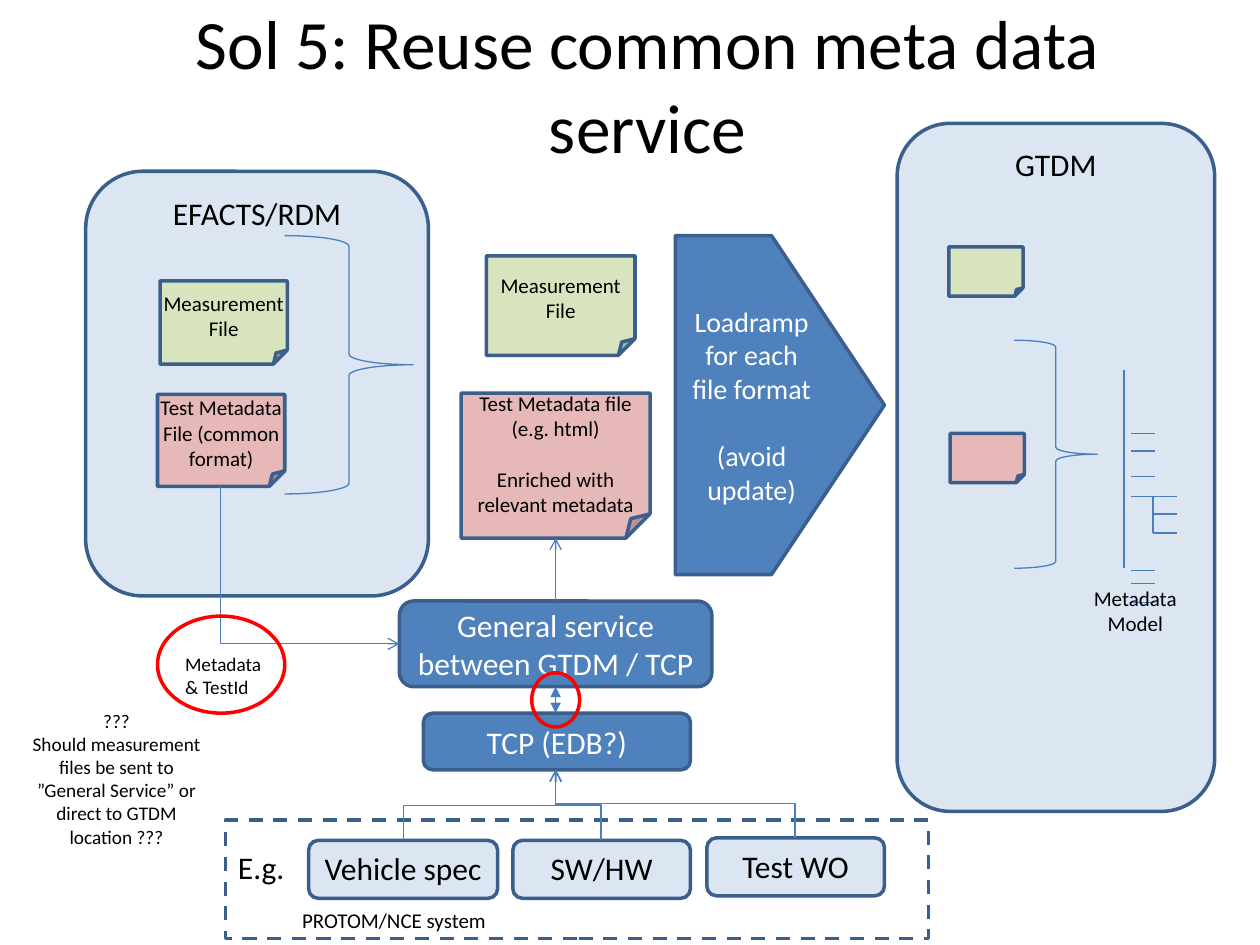
from lxml.etree import SubElement
from pptx import Presentation
from pptx.dml.color import RGBColor
from pptx.enum.dml import MSO_LINE
from pptx.enum.shapes import MSO_CONNECTOR, MSO_SHAPE
from pptx.enum.text import MSO_ANCHOR, PP_ALIGN
from pptx.oxml.ns import qn
from pptx.util import Emu, Pt

PX = 9144  # EMU per px, 100 px to the inch
FONT = "Calibri"
COLORS = {
    "blue": "4F81BD", "pale": "DCE6F2", "outline": "3A5F8C", "thin": "4B7EBC",
    "green": "D7E4BD", "pink": "E6B9B8", "red": "FF0000",
    "black": "000000", "white": "FFFFFF",
}


def px(value):
    return Emu(round(value * PX))


def color(name):
    return RGBColor.from_string(COLORS[name])


def write(frame, paragraphs, size, ink="black", align=PP_ALIGN.CENTER, gap=0):
    """Fill a text frame; gap is the space in points between paragraphs."""
    for index, text in enumerate(paragraphs):
        paragraph = frame.paragraphs[0] if index == 0 else frame.add_paragraph()
        paragraph.text = text
        paragraph.alignment = align
        if index and gap:
            paragraph.space_before = Pt(gap)
        paragraph.font.name = FONT
        paragraph.font.size = Pt(size)
        paragraph.font.color.rgb = color(ink)


def add_label(slide, box, paragraphs, size, align=PP_ALIGN.CENTER, wrap=True,
              anchor=MSO_ANCHOR.TOP):
    frame = slide.shapes.add_textbox(*map(px, box)).text_frame
    frame.word_wrap = wrap
    frame.vertical_anchor = anchor
    write(frame, paragraphs, size, align=align)


def add_outline(slide, kind, box, fill=None, line="outline", width=2):
    shape = slide.shapes.add_shape(kind, *map(px, box))
    shape.shadow.inherit = False
    if fill:
        shape.fill.solid()
        shape.fill.fore_color.rgb = color(fill)
    else:
        shape.fill.background()
    shape.line.color.rgb = color(line)
    shape.line.width = Pt(width)
    return shape


def add_system(slide, box, name, fill="pale", ink="black", anchor=MSO_ANCHOR.TOP):
    system = add_outline(slide, MSO_SHAPE.ROUNDED_RECTANGLE, box, fill)
    system.text_frame.vertical_anchor = anchor
    write(system.text_frame, [name], 18, ink)


def add_file(slide, box, fill, paragraphs=(), gap=0):
    file = add_outline(slide, MSO_SHAPE.FOLDED_CORNER, box, fill)
    frame = file.text_frame
    frame.margin_left = frame.margin_right = 0
    frame.vertical_anchor = MSO_ANCHOR.MIDDLE
    write(frame, paragraphs, 12, gap=gap)


def add_brace(slide, box):
    add_outline(slide, MSO_SHAPE.RIGHT_BRACE, box, line="thin", width=0.75)


def add_line(slide, start, end, head=None, tail=None, kind=MSO_CONNECTOR.STRAIGHT):
    line = slide.shapes.add_connector(kind, *map(px, (*start, *end)))
    line.line.color.rgb = color("thin")
    line.line.width = Pt(0.75)
    for tag, arrow in (("a:headEnd", head), ("a:tailEnd", tail)):
        if arrow:
            SubElement(line.line._get_or_add_ln(), qn(tag), type=arrow)
    SubElement(line._element.spPr, qn("a:effectLst"))
    return line


def add_elbow(slide, start, end, preset="bentConnector3"):
    """Elbow arrow leaving vertically: a horizontal elbow turned by 270 degrees."""
    (x1, y1), (x2, y2) = start, end
    mid_x, mid_y = (x1 + x2) / 2, (y1 + y2) / 2
    half_x, half_y = (x2 - x1) / 2, (y2 - y1) / 2
    elbow = add_line(slide, (mid_x + half_y, mid_y - half_x),
                     (mid_x - half_y, mid_y + half_x),
                     tail="arrow", kind=MSO_CONNECTOR.ELBOW)
    properties = elbow._element.spPr
    properties.find(qn("a:xfrm")).set("rot", str(270 * 60000))
    properties.find(qn("a:prstGeom")).set("prst", preset)


def add_metadata_tree(slide):
    add_line(slide, (892, 294), (892, 451))
    for y in (344, 358, 378, 394, 453, 463, 478):
        add_line(slide, (898, y), (917, y))
    add_line(slide, (915, 394), (915, 423))
    for y in (394, 408, 423):
        add_line(slide, (915, y), (934, y))
    add_label(slide, (854, 460, 94, 50), ["Metadata Model"], 12)


def add_loadramp(slide):
    ramp = add_outline(slide, MSO_SHAPE.PENTAGON, (536, 187, 166, 269), "blue")
    ramp.adjustments[0] = 0.54
    ramp.text_frame.vertical_anchor = MSO_ANCHOR.MIDDLE
    write(ramp.text_frame, ["Loadramp\vfor each file format", "(avoid update)"],
          16, "white", gap=19.5)


def main():
    deck = Presentation()
    deck.slide_width, deck.slide_height = px(1000), px(750)
    slide = deck.slides.add_slide(deck.slide_layouts[6])
    middle = MSO_ANCHOR.MIDDLE

    # Systems and title
    add_system(slide, (317, 477, 248, 68), "General service between GTDM / TCP",
               "blue", "white", middle)
    add_system(slide, (68, 136, 272, 337), "EFACTS/RDM")
    add_label(slide, (64, 4, 900, 125), ["Sol 5: Reuse common meta data service"],
              39.6, anchor=middle)

    # Loading into GTDM
    add_file(slide, (386, 203, 118, 79), "green", ["Measurement File"])
    add_loadramp(slide)
    add_system(slide, (712, 98, 252, 546), "GTDM")
    add_brace(slide, (805, 270, 66, 181))
    add_file(slide, (754, 344, 59, 39), "pink")
    add_metadata_tree(slide)
    add_file(slide, (753, 196, 59, 39), "green")

    # Source files
    add_file(slide, (125, 313, 101, 73), "pink",
             ["Test Metadata File (common format)"])
    add_brace(slide, (226, 187, 102, 205))
    add_file(slide, (127, 223, 101, 66), "green", ["Measurement File"])
    add_file(slide, (366, 312, 150, 115), "pink",
             ["Test Metadata file\v(e.g. html)", "Enriched with relevant metadata"],
             gap=14.5)

    # Systems behind TCP
    add_system(slide, (245, 667, 150, 46), "Vehicle spec")
    add_system(slide, (407, 667, 141, 46), "SW/HW")
    add_system(slide, (561, 665, 141, 46), "Test WO")
    add_label(slide, (179, 668, 57, 40), ["E.g."], 18, PP_ALIGN.LEFT, False)
    add_label(slide, (230, 715, 166, 30), ["PROTOM/NCE system"], 12,
              PP_ALIGN.LEFT, False)
    add_system(slide, (336, 566, 212, 45), "TCP (EDB?)", "blue", "white", middle)
    examples = add_outline(slide, MSO_SHAPE.RECTANGLE, (179, 651, 558, 94))
    examples.line.dash_style = MSO_LINE.DASH

    # Flows
    add_elbow(slide, (175, 386), (317, 511), "bentConnector2")
    for start in ((320, 667), (477, 667), (631, 665)):
        add_elbow(slide, start, (441, 611))
    add_line(slide, (441, 566), (441, 545), "triangle", "triangle")
    add_line(slide, (441, 477), (441, 427), tail="arrow")

    # Open questions
    add_label(slide, (137, 513, 81, 47), ["Metadata", "& TestId"], 11,
              PP_ALIGN.LEFT, False)
    for ring in ((422, 534, 38, 43), (125, 489, 101, 77)):
        add_outline(slide, MSO_SHAPE.OVAL, ring, line="red")
    add_label(slide, (10, 558, 165, 121),
              ["???", "Should measurement files be sent to ”General Service” "
               "or direct to GTDM location ???"], 11)

    deck.save("out.pptx")


if __name__ == "__main__":
    main()
